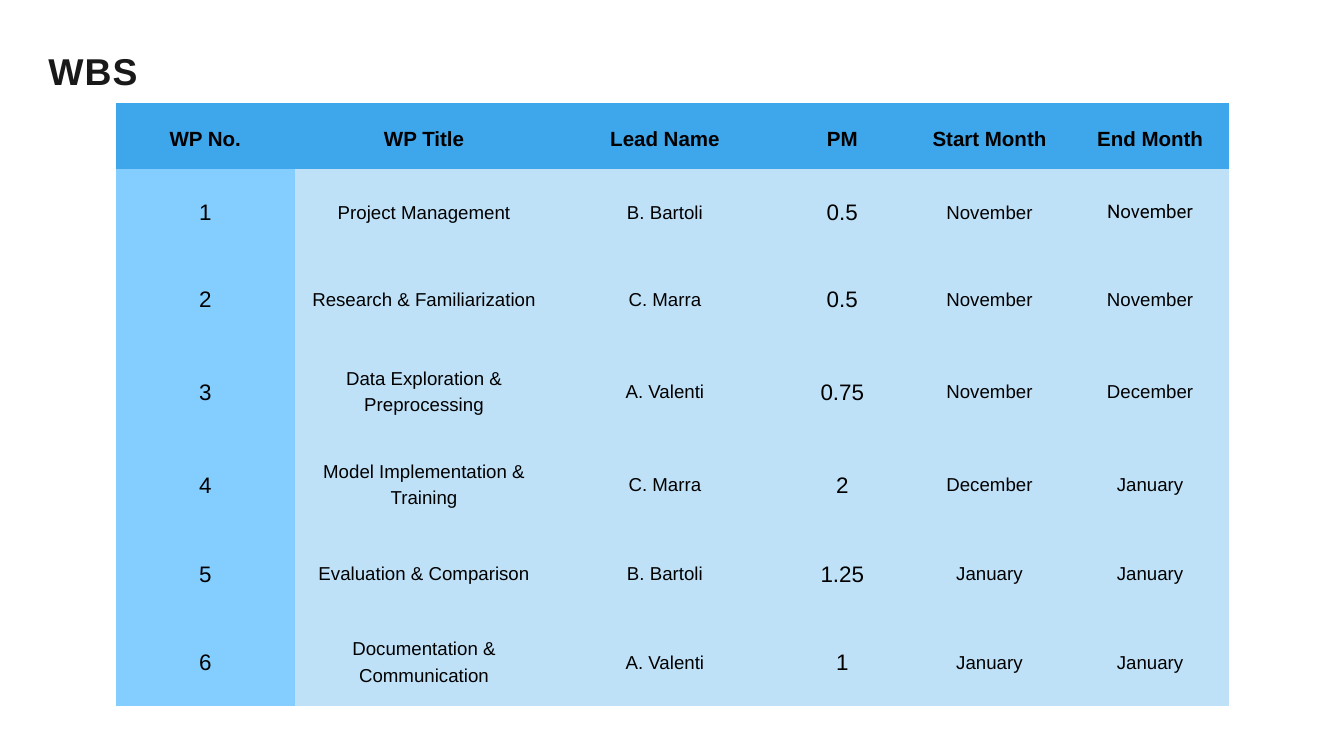
from typing import NamedTuple

from lxml import etree
from pptx import Presentation
from pptx.dml.color import RGBColor
from pptx.enum.text import MSO_ANCHOR, MSO_AUTO_SIZE, PP_ALIGN
from pptx.oxml.ns import qn
from pptx.util import Inches, Pt

CENTER, LEFT = PP_ALIGN.CENTER, PP_ALIGN.LEFT
MIDDLE, TOP = MSO_ANCHOR.MIDDLE, MSO_ANCHOR.TOP
FIT_SHAPE = MSO_AUTO_SIZE.SHAPE_TO_FIT_TEXT
TITLE_ONLY_LAYOUT = 5


class TextStyle(NamedTuple):
    size: float
    line_spacing: float
    bold: bool = False
    color: str = "000000"
    font: str = "Arial"


class WorkPackage(NamedTuple):
    number: str
    title: str
    lead: str
    person_months: str
    start: str
    end: str


TITLE_STYLE = TextStyle(40, 52.4, bold=True, color="191919")
HEADER_STYLE = TextStyle(22, 30.8, bold=True)
NUMBER_STYLE = TextStyle(24, 33.6)
BODY_STYLE = TextStyle(20, 28)
FIRST_END_STYLE = BODY_STYLE._replace(font="Roboto")

HEADER_FILL = "3EA6EB"
FIRST_COLUMN_FILL = "84CEFF"
BODY_FILL = "BFE1F8"
CELL_MARGIN = 0.21

COLUMN_WIDTHS = [2.67, 3.84, 3.33, 1.95, 2.43, 2.35]
ROW_HEIGHTS = [0.98, 1.21, 1.38, 1.38, 1.38, 1.26, 1.38]

HEADERS = WorkPackage("WP No.", "WP Title", "Lead Name", "PM", "Start Month", "End Month")
WORK_PACKAGES = [
    WorkPackage("1", "Project Management", "B. Bartoli", "0.5", "November", "November"),
    WorkPackage("2", "Research & Familiarization", "C. Marra", "0.5", "November", "November"),
    WorkPackage("3", "Data Exploration & Preprocessing", "A. Valenti", "0.75", "November", "December"),
    WorkPackage("4", "Model Implementation & Training", "C. Marra", "2", "December", "January"),
    WorkPackage("5", "Evaluation & Comparison", "B. Bartoli", "1.25", "January", "January"),
    WorkPackage("6", "Documentation & Communication", "A. Valenti", "1", "January", "January"),
]
NUMBER_COLUMNS = {
    HEADERS._fields.index("number"),
    HEADERS._fields.index("person_months"),
}
END_COLUMN = HEADERS._fields.index("end")


def rgb(value: str) -> RGBColor:
    return RGBColor.from_string(value)


def add_text(text_frame, text: str, style: TextStyle, alignment):
    paragraph = text_frame.paragraphs[0]
    paragraph.alignment = alignment
    paragraph.line_spacing = Pt(style.line_spacing)
    paragraph.space_before = Pt(0)
    run = paragraph.add_run()
    run.text = text
    run.font.name = style.font
    run.font.size = Pt(style.size)
    run.font.bold = style.bold
    run.font.color.rgb = rgb(style.color)
    return run


def hide_borders(cell) -> None:
    """Put the border lines ahead of the fill, as the schema requires."""
    properties = cell._tc.get_or_add_tcPr()
    for position, side in enumerate(("a:lnL", "a:lnR", "a:lnT", "a:lnB")):
        line = etree.Element(qn(side), w="0")
        etree.SubElement(line, qn("a:noFill"))
        properties.insert(position, line)


def cell_style(row: int, column: int) -> TextStyle:
    if row == 0:
        return HEADER_STYLE
    if column in NUMBER_COLUMNS:
        return NUMBER_STYLE
    if row == 1 and column == END_COLUMN:
        return FIRST_END_STYLE
    return BODY_STYLE


def cell_fill(row: int, column: int) -> str:
    if row == 0:
        return HEADER_FILL
    return FIRST_COLUMN_FILL if column == 0 else BODY_FILL


def format_cell(cell, text: str, style: TextStyle, fill: str) -> None:
    cell.fill.solid()
    cell.fill.fore_color.rgb = rgb(fill)
    cell.vertical_anchor = MIDDLE
    cell.margin_left = cell.margin_right = Inches(CELL_MARGIN)
    cell.margin_top = cell.margin_bottom = Inches(CELL_MARGIN)
    hide_borders(cell)
    add_text(cell.text_frame, text, style, CENTER)


def add_work_package_table(slide) -> None:
    rows = [HEADERS, *WORK_PACKAGES]
    table = slide.shapes.add_table(
        len(rows), len(HEADERS), Inches(1.72), Inches(1.54),
        Inches(sum(COLUMN_WIDTHS)), Inches(sum(ROW_HEIGHTS)),
    ).table
    table.horz_banding = False
    for column, width in zip(table.columns, COLUMN_WIDTHS):
        column.width = Inches(width)
    for row, height in zip(table.rows, ROW_HEIGHTS):
        row.height = Inches(height)
    for i, values in enumerate(rows):
        for j, text in enumerate(values):
            format_cell(table.cell(i, j), text, cell_style(i, j), cell_fill(i, j))


def add_title(slide, text: str) -> None:
    title = slide.shapes.title
    title.left, title.top = Inches(0.72), Inches(0.66)
    title.width, title.height = Inches(9.28), Inches(0.71)
    frame = title.text_frame
    frame.margin_left = frame.margin_right = 0
    frame.margin_top = frame.margin_bottom = 0
    frame.vertical_anchor = TOP
    frame.word_wrap = True
    frame.auto_size = FIT_SHAPE
    run = add_text(frame, text, TITLE_STYLE, LEFT)
    run.font._element.set("spc", "120")


def main() -> None:
    presentation = Presentation()
    presentation.slide_width = Inches(20)
    presentation.slide_height = Inches(11.25)
    slide = presentation.slides.add_slide(presentation.slide_layouts[TITLE_ONLY_LAYOUT])
    add_work_package_table(slide)
    add_title(slide, "WBS")
    presentation.save("out.pptx")


if __name__ == "__main__":
    main()
